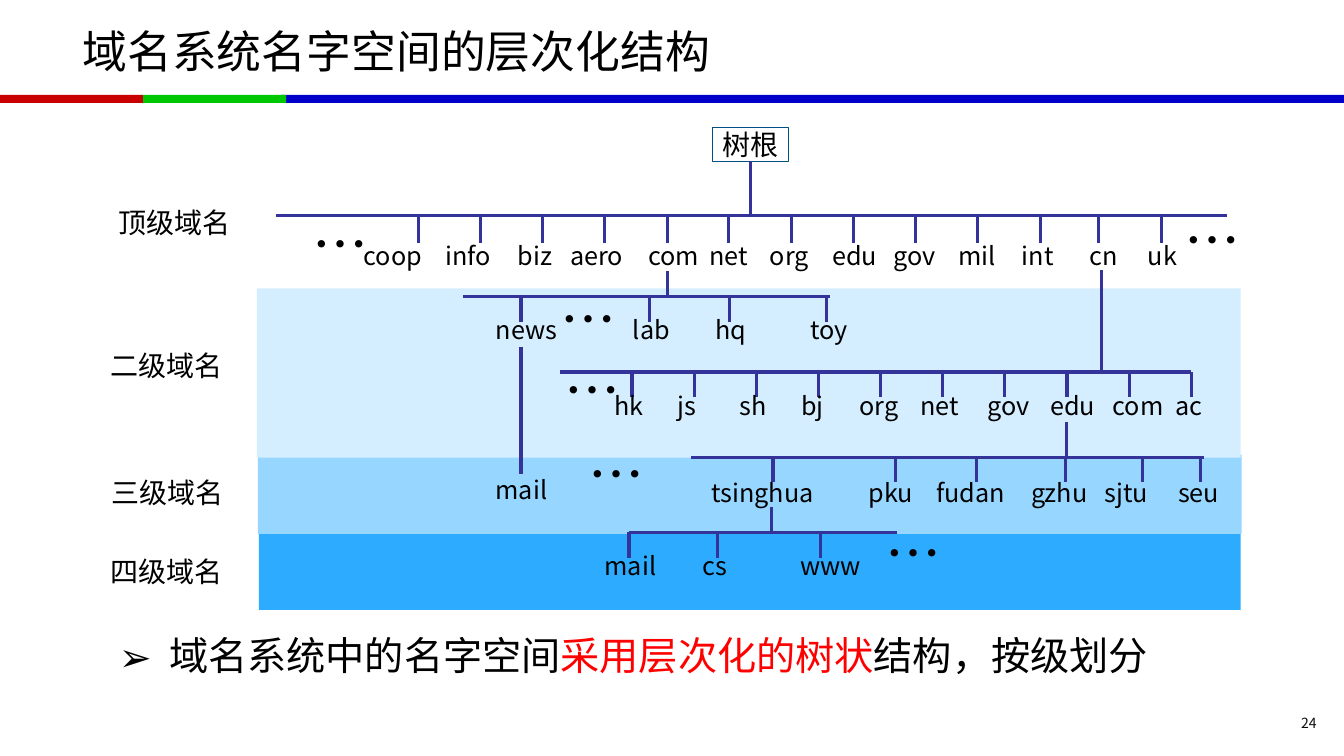
"""Build a slide showing the hierarchical name space of the domain name system."""
from lxml import etree
from pptx import Presentation
from pptx.dml.color import RGBColor
from pptx.enum import shapes, text
from pptx.oxml import ns
from pptx.util import Pt

FONT = "Noto Sans CJK SC"
BLACK = RGBColor(0x00, 0x00, 0x00)
RED = RGBColor(0xFF, 0x00, 0x00)
NUMBER_GREY = RGBColor(0x0C, 0x0D, 0x0F)
TREE_BLUE = RGBColor(0x33, 0x33, 0x99)
ROOT_BORDER = RGBColor(0x00, 0x50, 0x83)
STRIPE_RED = RGBColor(0xC8, 0x00, 0x00)
STRIPE_GREEN = RGBColor(0x00, 0xC8, 0x00)
STRIPE_BLUE = RGBColor(0x00, 0x00, 0xC8)
BAND_LIGHT = RGBColor(0xD5, 0xEE, 0xFF)
BAND_MIDDLE = RGBColor(0x96, 0xD6, 0xFF)
BAND_DARK = RGBColor(0x2D, 0xAC, 0xFF)

presentation = Presentation()
presentation.slide_width, presentation.slide_height = Pt(960), Pt(540)
slide = presentation.slides.add_slide(presentation.slide_layouts[5])


def write(box, position, size, parts, wrap=True, align=text.PP_ALIGN.LEFT):
    """Place a box and fill its first paragraph with (words, colour) runs."""
    box.left, box.top, box.width, box.height = [Pt(value) for value in position]
    frame = box.text_frame
    frame.word_wrap = wrap
    paragraph = frame.paragraphs[0]
    paragraph.alignment = align
    for words, colour in parts:
        run = paragraph.add_run()
        run.text = words
        run.font.size = Pt(size)
        run.font.color.rgb = colour
        run.font.name = FONT
        etree.SubElement(run.font._element, ns.qn("a:ea"), typeface=FONT)
    return frame


def draw_line(x1, y1, x2, y2):
    """Draw one straight line of the tree."""
    line = slide.shapes.add_connector(
        shapes.MSO_CONNECTOR.STRAIGHT, Pt(x1), Pt(y1), Pt(x2), Pt(y2))
    line.line.color.rgb = TREE_BLUE
    line.line.width = Pt(2.25)
    etree.SubElement(line._element.spPr, ns.qn("a:effectLst"))
    return line


title_frame = write(slide.shapes.title, (51.8, 5.8, 855.4, 60.5), 32,
                    [("域名系统名字空间的层次化结构", BLACK)])
title_frame.vertical_anchor = text.MSO_ANCHOR.MIDDLE

for left, top, width, height, colour in [
    (200.9, 67.7, 759.1, 5.8, STRIPE_BLUE),
    (0, 67.7, 102.2, 5.8, STRIPE_RED),
    (102.2, 67.7, 102.2, 5.8, STRIPE_GREEN),
    (184.3, 324.7, 702.7, 56.9, BAND_MIDDLE),
    (185, 381.6, 701.3, 54, BAND_DARK),
    (183.6, 205.9, 702.7, 121, BAND_LIGHT),
]:
    band = slide.shapes.add_shape(
        shapes.MSO_SHAPE.RECTANGLE, Pt(left), Pt(top), Pt(width), Pt(height))
    band.shadow.inherit = False
    band.fill.solid()
    band.fill.fore_color.rgb = colour
    band.line.fill.background()

root = slide.shapes.add_shape(shapes.MSO_SHAPE.RECTANGLE, 0, 0, 0, 0)
root.shadow.inherit = False
root.fill.background()
root.line.color.rgb = ROOT_BORDER
root.line.width = Pt(0.75)
root_frame = write(root, (509, 91.4, 54, 23.8), 20, [("树根", BLACK)],
                   wrap=False, align=text.PP_ALIGN.CENTER)
root_frame.vertical_anchor = text.MSO_ANCHOR.MIDDLE
draw_line(536, 115.2, 536, 154.1).begin_connect(root, 2)

# Each branch: bar left, bar right, bar y, tick end, label top, (label, left, width, tick x)
branches = [
    (197.3, 876.2, 154.1, 173.5, 167.8, [
        ("coop", 252.7, 61.2, 298.8), ("info", 311, 50.4, 343.4),
        ("biz", 362.9, 41, 387.4), ("aero", 400.3, 55.4, 432),
        ("com", 455.8, 54.7, 476.6), ("net", 499.7, 44.6, 520.6),
        ("org", 542.9, 46.1, 565.2), ("edu", 587.5, 49.7, 609.8),
        ("gov", 631.4, 49, 653.8), ("mil", 677.5, 42.5, 698.4),
        ("int", 722.9, 38.9, 743), ("cn", 771.1, 36, 784.8),
        ("uk", 812.9, 36.7, 829.4)]),
    (330.5, 592.6, 211.5, 229.7, 221, [
        ("news", 347, 62, 372.2), ("lab", 445, 50.4, 463.7),
        ("hq", 504, 38.9, 521.3), ("toy", 571.7, 51.8, 590.4)]),
    (400.3, 851, 265.7, 283.7, 275, [
        ("hk", 432, 36.7, 451.4), ("js", 476.6, 28.1, 495.8),
        ("sh", 521.3, 35.3, 540.2), ("bj", 565.2, 31.7, 584.6),
        ("org", 607, 46.1, 629), ("net", 650.2, 44.6, 673.4),
        ("gov", 698.4, 49, 717.8), ("edu", 743, 49.7, 762.2),
        ("com", 787.7, 54.7, 806.6), ("ac", 832.3, 34.6, 851)]),
    (493.9, 859.7, 326.5, 344.2, 337.7, [
        ("tsinghua", 501.1, 95, 552.2), ("pku", 613.4, 49, 639.4),
        ("fudan", 661.7, 68.4, 697.7), ("gzhu", 729.4, 60.5, 761),
        ("sjtu", 781.9, 47.5, 815.8), ("seu", 834.5, 46.1, 857.5)]),
    (449.3, 640.8, 380.2, 398.9, 389.5, [
        ("mail", 424.8, 53.3, 449.3), ("cs", 494.6, 33.1, 512.6),
        ("www", 564.5, 60.5, 586.1)]),
]
for bar_left, bar_right, bar_y, tick_end, label_top, names in branches:
    draw_line(bar_left, bar_y, bar_right, bar_y)
    for name, left, width, tick_x in names:
        draw_line(tick_x, bar_y, tick_x, tick_end)
        write(slide.shapes.add_textbox(0, 0, 0, 0), (left, label_top, width, 28.8),
              18, [(name, BLACK)], wrap=False)

for stem_x, stem_top, stem_bottom in [
    (476.6, 193.7, 211.5), (787, 193, 265.7), (762, 301.7, 326.5),
    (550.8, 362.2, 380.2), (372.2, 247.7, 338.4),
]:
    draw_line(stem_x, stem_top, stem_x, stem_bottom)
write(slide.shapes.add_textbox(0, 0, 0, 0), (347, 335.5, 53.3, 28.8), 18,
      [("mail", BLACK)], wrap=False)

for left, top in [(838.8, 143.3), (396, 250.6), (413.3, 310.3),
                  (393.1, 199.4), (625.7, 366.5), (216, 146.2)]:
    write(slide.shapes.add_textbox(0, 0, 0, 0), (left, top, 49, 55.4), 40,
          [("…", BLACK)], wrap=False)

for level, left, top in [("顶级域名", 77.8, 143.3), ("二级域名", 72, 245.5),
                         ("三级域名", 72.7, 336.2), ("四级域名", 72, 392.4)]:
    write(slide.shapes.add_textbox(0, 0, 0, 0), (left, top, 108, 31), 20,
          [(level, BLACK)])

summary_frame = write(
    slide.shapes.add_textbox(0, 0, 0, 0), (77.8, 447.1, 794.2, 41), 28,
    [("域名系统中的名字空间", BLACK), ("采用层次化的树状", RED), ("结构，按级划分", BLACK)])
properties = summary_frame.paragraphs[0]._p.get_or_add_pPr()
properties.set("marL", str(Pt(36)))
properties.set("indent", str(-Pt(36)))
etree.SubElement(properties, ns.qn("a:buFont"), typeface=FONT)
etree.SubElement(properties, ns.qn("a:buChar"), char="➢")

number_frame = write(slide.shapes.add_textbox(0, 0, 0, 0), (853.9, 508.3, 93.6, 16.6),
                     10, [("24", NUMBER_GREY)], align=text.PP_ALIGN.RIGHT)
number_frame.vertical_anchor = text.MSO_ANCHOR.MIDDLE

presentation.save("out.pptx")
